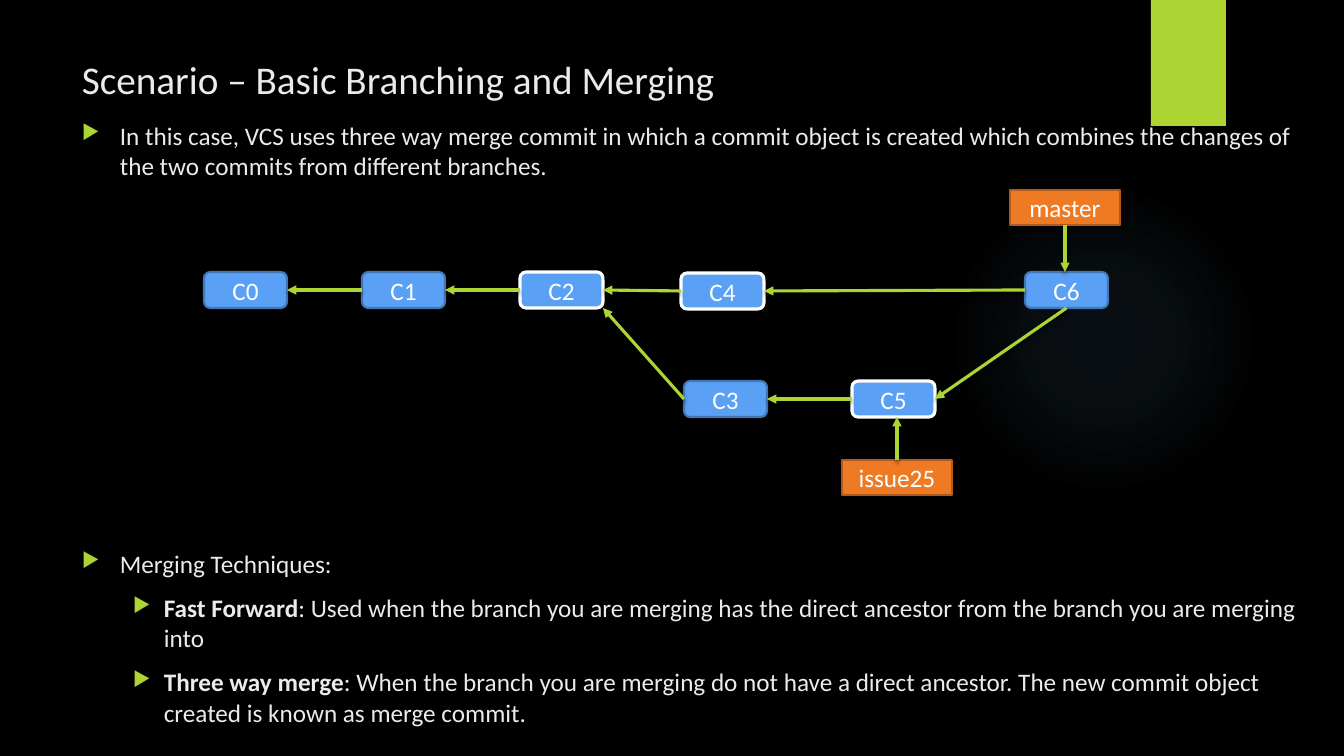
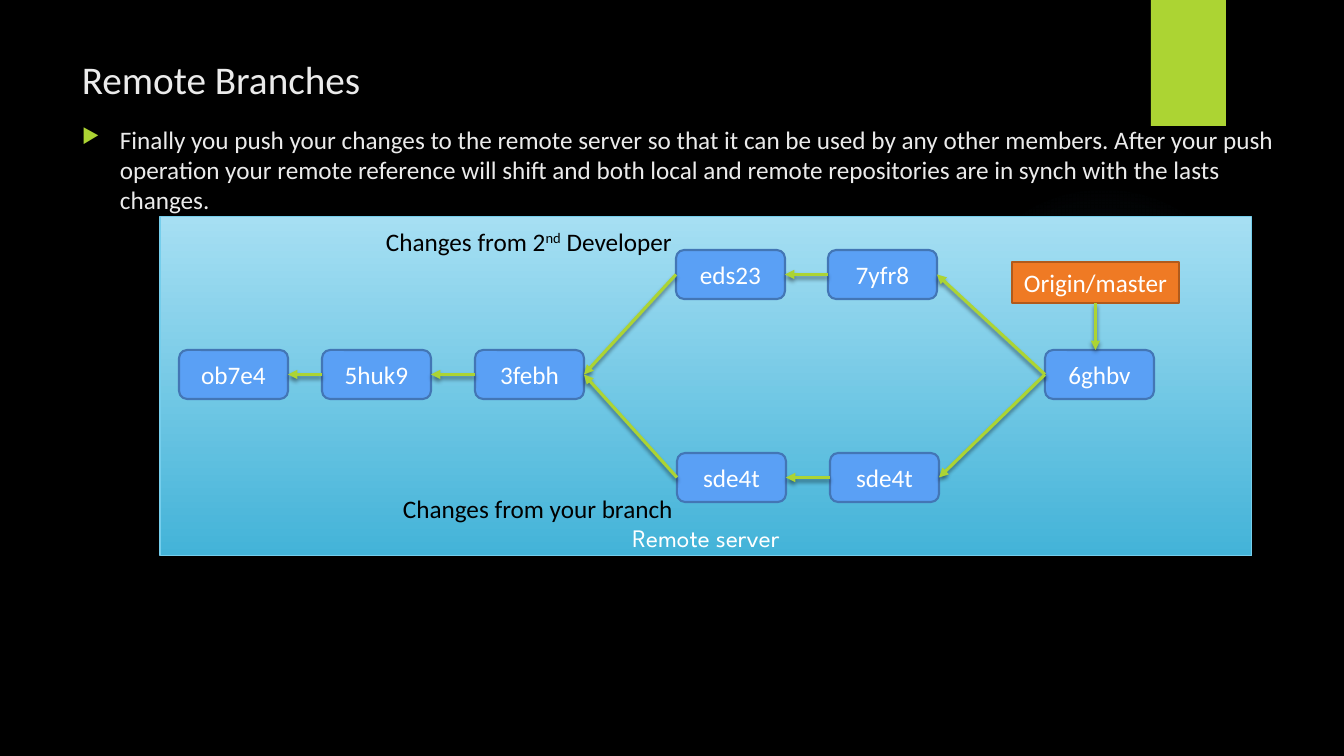
import pptx
import pptx.dml.color
import pptx.enum.shapes
import pptx.enum.text
import pptx.oxml
import pptx.oxml.ns
import pptx.util

RGB = pptx.dml.color.RGBColor
SHAPE = pptx.enum.shapes.MSO_SHAPE
ANCHOR = pptx.enum.text.MSO_ANCHOR
ALIGN = pptx.enum.text.PP_ALIGN
qn = pptx.oxml.ns.qn
NS = pptx.oxml.ns.nsdecls("a")

BLACK = RGB(0x00, 0x00, 0x00)
WHITE = RGB(0xFF, 0xFF, 0xFF)
SOFT_WHITE = RGB(0xEB, 0xEB, 0xEB)
GREEN = RGB(0xAC, 0xD4, 0x33)
BLUE = RGB(0x5A, 0xA0, 0xF5)
BLUE_EDGE = RGB(0x43, 0x76, 0xB5)
ORANGE = RGB(0xEF, 0x7A, 0x24)
ORANGE_EDGE = RGB(0xB1, 0x5A, 0x1B)
GLOW = RGB(0x7A, 0xC4, 0xF0)
SKY_TOP = RGB(0xA6, 0xDF, 0xF3)
SKY_BOTTOM = RGB(0x43, 0xB3, 0xD8)
SKY_EDGE = RGB(0x75, 0xCE, 0xEC)

FONT = "Calibri"
PANEL_FONT = "League Spartan"
EMU_PER_PX = 914400 / 100.8
PT = pptx.util.Pt

TITLE_BOX = (72, 50, 1037, 66)
TAB_BOX = (1151, 0, 75, 126)
GLOW_BOX = (949, 184, 310, 310)
GLOW_STOPS = ((0, 7), (36, 6), (69, 0))
BULLET_LEVELS = ((38, 38), (82, 31))
SIDES = {
    "top": (0.5, 0, 0),
    "left": (0, 0.5, 1),
    "bottom": (0.5, 1, 2),
    "right": (1, 0.5, 3),
    "corner": (1, 1, None),
}


def px(n):
    """Turn pixels into EMU."""
    return pptx.util.Emu(round(n * EMU_PER_PX))


def add_xml(parent, xml):
    """Append one DrawingML element to a parent."""
    parent.append(pptx.oxml.parse_xml(xml.replace(" ", f" {NS} ", 1)))


def add_shadow(sp):
    """Give a shape or connector the soft shadow below it."""
    spPr = sp._element.spPr
    for old in spPr.findall(qn("a:effectLst")):
        spPr.remove(old)
    add_xml(spPr, '<a:effectLst ><a:outerShdw blurRad="38100" dist="25400" dir="5400000">'
                  '<a:srgbClr val="000000"><a:alpha val="45000"/></a:srgbClr>'
                  '</a:outerShdw></a:effectLst>')


def add_run(p, text, size=18, color=SOFT_WHITE, font=FONT, bold=False, raised=False):
    """Add formatted text to a paragraph."""
    r = p.add_run()
    r.text = text
    r.font.size, r.font.name, r.font.bold = PT(size), font, bold
    r.font.color.rgb = color
    if raised:
        r._r.get_or_add_rPr().set("baseline", "30000")


def add_box(slide, box, kind=SHAPE.RECTANGLE, fill=None, line=None, width=1.5):
    """Draw a preset shape without the theme's shadow."""
    sp = slide.shapes.add_shape(kind, *map(px, box))
    sp.shadow.inherit = False
    if fill is not None:
        sp.fill.solid()
        sp.fill.fore_color.rgb = fill
    if line is None:
        sp.line.fill.background()
    else:
        sp.line.color.rgb = line
        sp.line.width = PT(width)
    return sp


def add_caption(sp, text, anchor=ANCHOR.MIDDLE, bottom=0, **fmt):
    """Centre white text in a shape."""
    tf = sp.text_frame
    tf.margin_left = tf.margin_right = tf.margin_top = 0
    tf.margin_bottom = px(bottom)
    tf.word_wrap, tf.vertical_anchor = True, anchor
    p = tf.paragraphs[0]
    p.alignment = ALIGN.CENTER
    add_run(p, text, color=WHITE, **fmt)


def add_text(slide, box, runs, wrap=True, **fmt):
    """Place one paragraph, made of (text, format) runs, in a text box."""
    tf = slide.shapes.add_textbox(*map(px, box)).text_frame
    tf.word_wrap = wrap
    for text, own in runs:
        add_run(tf.paragraphs[0], text, **fmt, **own)


def add_bullets(slide, box, items):
    """Place bulleted paragraphs given as (level, runs)."""
    tf = slide.shapes.add_textbox(*map(px, box)).text_frame
    tf.word_wrap = True
    for i, (level, runs) in enumerate(items):
        p = tf.add_paragraph() if i else tf.paragraphs[0]
        p.level = level
        p.space_before = PT(10 if i else 0)
        left, hang = BULLET_LEVELS[level]
        pPr = p._p.get_or_add_pPr()
        pPr.set("marL", str(px(left)))
        pPr.set("indent", str(-px(hang)))
        add_xml(pPr, f'<a:buClr ><a:srgbClr val="{GREEN}"/></a:buClr>')
        add_xml(pPr, '<a:buSzPct val="80000"/>')
        add_xml(pPr, '<a:buChar char="▶"/>')
        for text, fmt in runs:
            add_run(p, text, **fmt)


def joint(sp, side):
    """Find the point of a shape that a side names."""
    fx, fy, _ = SIDES[side]
    return round(sp.left + fx * sp.width), round(sp.top + fy * sp.height)


def add_arrow(slide, start, end):
    """Draw a green arrow between two points."""
    line = slide.shapes.add_connector(pptx.enum.shapes.MSO_CONNECTOR.STRAIGHT, *start, *end)
    line.line.color.rgb = GREEN
    line.line.width = PT(2.25)
    add_xml(line.line._get_or_add_ln(), '<a:tailEnd type="triangle"/>')
    add_shadow(line)
    return line


def link(slide, child, parent, start="left", end="right"):
    """Join a commit to its parent by a glued arrow."""
    line = add_arrow(slide, joint(child, start), joint(parent, end))
    line.begin_connect(child, SIDES[start][2])
    if SIDES[end][2] is not None:
        line.end_connect(parent, SIDES[end][2])


def add_tag(slide, box, text, commit):
    """Draw a branch name and its upright arrow to a commit."""
    sp = add_box(slide, box, fill=ORANGE, line=ORANGE_EDGE)
    add_caption(sp, text)
    start, end = ("bottom", "top") if sp.top < commit.top else ("top", "bottom")
    x, y = joint(sp, start)
    line = add_arrow(slide, (x, y), (x, joint(commit, end)[1]))
    line.begin_connect(sp, SIDES[start][2])


def draw_graph(slide, box, size, commits, links, tags):
    """Draw commits, their links and branch names inside a box."""
    x0, y0 = box[:2]
    nodes = {}
    for key, (text, x, y, marked) in commits.items():
        sp = add_box(slide, (x0 + x, y0 + y, *size), SHAPE.ROUNDED_RECTANGLE, BLUE,
                     WHITE if marked else BLUE_EDGE, 2.25 if marked else 1.5)
        add_caption(sp, text)
        nodes[key] = sp
    for child, parent, *sides in links:
        link(slide, nodes[child], nodes[parent], *sides)
    for text, key, (x, y, w, h) in tags:
        add_tag(slide, (x0 + x, y0 + y, w, h), text, nodes[key])


def draw_glow(slide, box):
    """Draw the faint round light."""
    sp = add_box(slide, box, SHAPE.OVAL)
    sp.fill.gradient()
    grad = sp._element.spPr.find(qn("a:gradFill"))
    for child in list(grad):
        grad.remove(child)
    stops = "".join(f'<a:gs pos="{pos * 1000}"><a:srgbClr val="{GLOW}">'
                    f'<a:alpha val="{alpha * 1000}"/></a:srgbClr></a:gs>'
                    for pos, alpha in GLOW_STOPS)
    add_xml(grad, f'<a:gsLst >{stops}</a:gsLst>')
    add_xml(grad, '<a:path path="circle"><a:fillToRect l="50000" t="50000" r="50000" b="50000"/>'
                  '</a:path>')


def draw_panel(slide, box, text):
    """Draw the shaded server panel with its name at the bottom."""
    sp = add_box(slide, box, line=SKY_EDGE, width=0.75)
    sp.fill.gradient()
    sp.fill.gradient_angle = 270
    for stop, color in zip(sp.fill.gradient_stops, (SKY_TOP, SKY_BOTTOM)):
        stop.color.rgb = color
    add_shadow(sp)
    add_caption(sp, text, anchor=ANCHOR.BOTTOM, bottom=3, font=PANEL_FONT)


def new_slide(prs, title):
    """Start a slide with the shared glow, tab and title."""
    slide = prs.slides.add_slide(prs.slide_layouts[6])
    draw_glow(slide, GLOW_BOX)
    add_shadow(add_box(slide, TAB_BOX, fill=GREEN))
    add_text(slide, TITLE_BOX, [(title, {})], size=28)
    return slide


def merging_slide(prs):
    """Build the slide on branching and merging."""
    slide = new_slide(prs, "Scenario – Basic Branching and Merging")
    add_bullets(slide, (72, 115, 1248, 72), [
        (0, [("In this case, VCS uses three way merge commit in which a commit object is "
              "created which combines the changes of the two commits from different "
              "branches.", {})]),
    ])
    add_bullets(slide, (72, 543, 1248, 191), [
        (0, [("Merging Techniques:", {})]),
        (1, [("Fast Forward", {"bold": True}),
             (": Used when the branch you are merging has the direct ancestor from the "
              "branch you are merging into", {})]),
        (1, [("Three way merge", {"bold": True}),
             (": When the branch you are merging do not have a direct ancestor. The new "
              "commit object created is known as merge commit.", {})]),
    ])
    places = (("C0", 0, 82, False), ("C1", 158, 82, False), ("C2", 316, 82, True),
              ("C3", 480, 191, False), ("C4", 477, 83, True), ("C5", 648, 191, True),
              ("C6", 821, 82, False))
    draw_graph(
        slide, (204, 190, 917, 305), (83, 36),
        {place[0]: place for place in places},
        [("C1", "C0"), ("C2", "C1"), ("C4", "C2"), ("C3", "C2", "left", "corner"),
         ("C5", "C3"), ("C6", "C4"), ("C6", "C5", "bottom", "right")],
        [("master", "C6", (806, 0, 110, 35)), ("issue25", "C5", (638, 270, 110, 35))])


def remote_slide(prs):
    """Build the slide on remote branches."""
    slide = new_slide(prs, "Remote Branches")
    panel = (160, 217, 1092, 339)
    draw_panel(slide, panel, "Remote server")
    add_bullets(slide, (72, 119, 1248, 100), [
        (0, [("Finally you push your changes to the remote server so that it can be used by "
              "any other members. After your push operation your remote reference will shift "
              "and both local and remote repositories are in synch with the lasts changes.",
              {})]),
    ])
    draw_graph(
        slide, panel, (109, 49),
        {"first": ("ob7e4", 19, 133, False), "second": ("5huk9", 162, 133, False),
         "base": ("3febh", 315, 133, False),
         "theirs_1": ("eds23", 516, 33, False), "theirs_2": ("7yfr8", 668, 33, False),
         "ours_1": ("sde4t", 517, 236, False), "ours_2": ("sde4t", 670, 236, False),
         "merge": ("6ghbv", 885, 133, False)},
        [("second", "first"), ("base", "second"), ("theirs_1", "base"), ("ours_1", "base"),
         ("theirs_2", "theirs_1"), ("ours_2", "ours_1"), ("merge", "theirs_2"),
         ("merge", "ours_2")],
        [("Origin/master", "merge", (852, 45, 167, 41))])
    x, y = panel[:2]
    add_text(slide, (x + 216, y + 4, 312, 40),
             [("Changes from 2", {}), ("nd", {"raised": True}), (" Developer", {})],
             wrap=False, color=BLACK)
    add_text(slide, (x + 233, y + 271, 293, 40), [("Changes from your branch", {})],
             wrap=False, color=BLACK)


def main():
    """Build and save the presentation."""
    prs = pptx.Presentation()
    prs.slide_width, prs.slide_height = px(1344), px(756)
    fill = prs.slide_master.background.fill
    fill.solid()
    fill.fore_color.rgb = BLACK
    merging_slide(prs)
    remote_slide(prs)
    prs.save("out.pptx")


main()
